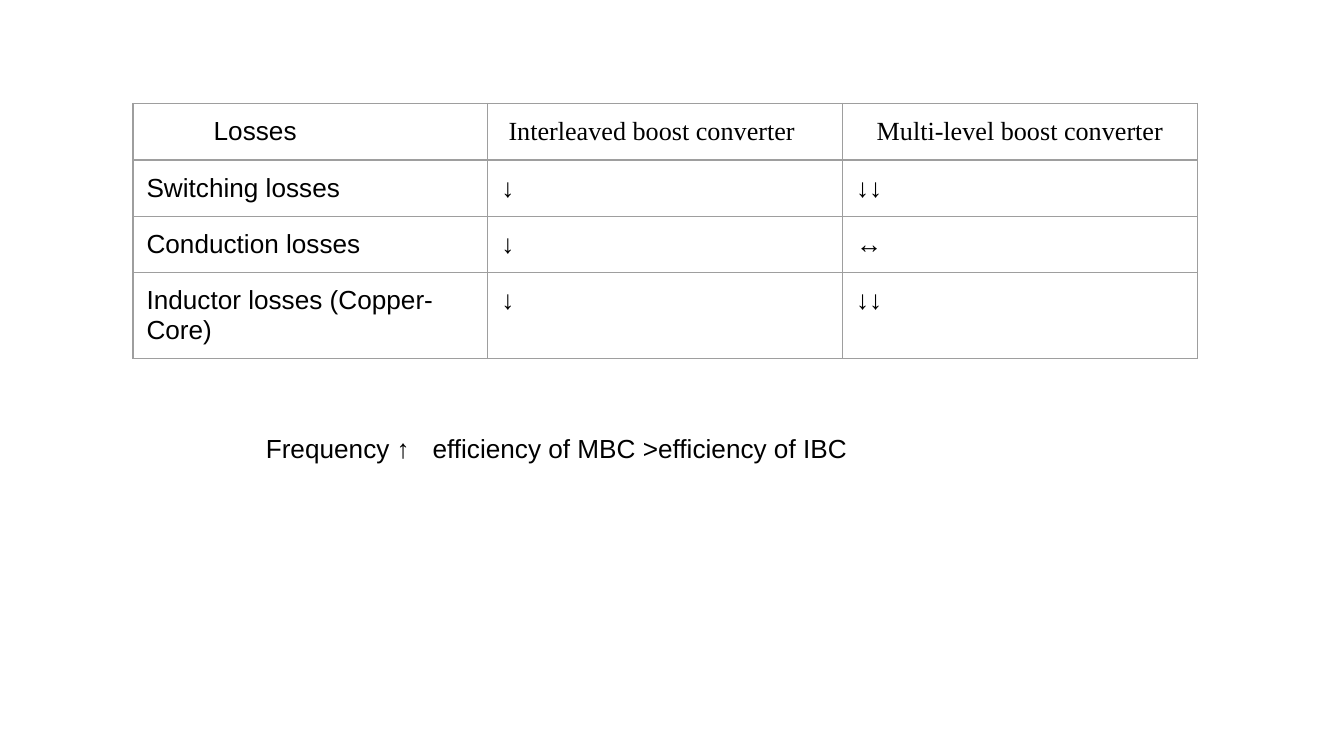
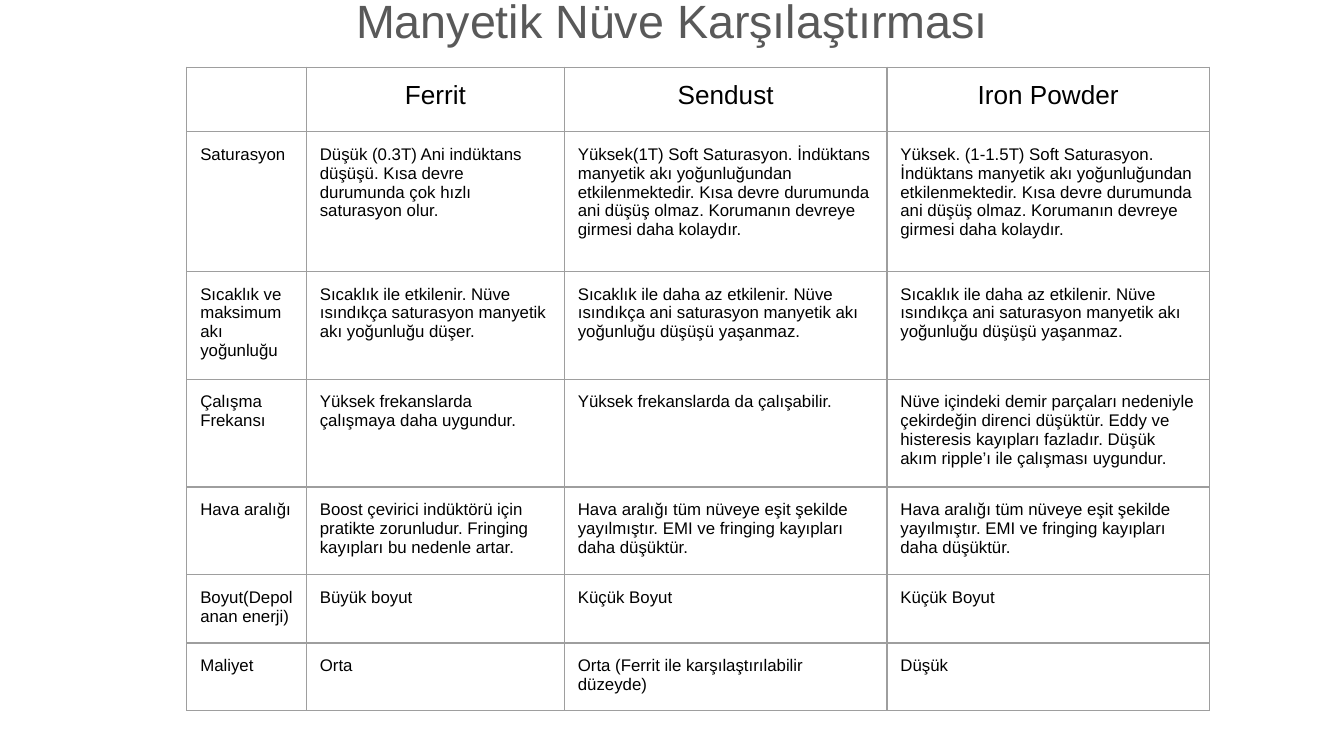
from dataclasses import dataclass

import lxml.etree
import pptx
import pptx.dml.color
import pptx.enum.text
import pptx.oxml.ns
import pptx.util

GRID_COLUMNS, GRID_ROWS = 100, 56.25
LEFT = pptx.enum.text.PP_ALIGN.LEFT
CENTER = pptx.enum.text.PP_ALIGN.CENTER


@dataclass(frozen=True)
class Theme:
    sans: str = "Arial"
    serif: str = "Times New Roman"
    ink: str = "000000"
    heading: str = "595959"
    paper: str = "FFFFFF"
    rule: str = "9E9E9E"
    rule_width: float = 0.75
    title_size: int = 25
    body_size: int = 14
    small_size: int = 9


THEME = Theme()

LOSSES = [
    ["Losses", "Interleaved boost converter", "Multi-level boost converter"],
    ["Switching losses", "↓", "↓↓"],
    ["Conduction losses", "↓", "↔"],
    ["Inductor losses (Copper-Core)", "↓", "↓↓"],
]

SOFT_SATURATION = (
    "Soft Saturasyon. İndüktans manyetik akı yoğunluğundan etkilenmektedir. "
    "Kısa devre durumunda ani düşüş olmaz. Korumanın devreye girmesi daha kolaydır."
)
STABLE_HEAT = (
    "Sıcaklık ile daha az etkilenir. Nüve ısındıkça ani saturasyon manyetik akı "
    "yoğunluğu düşüşü yaşanmaz."
)
SPREAD_GAP = (
    "Hava aralığı tüm nüveye eşit şekilde yayılmıştır. EMI ve fringing kayıpları "
    "daha düşüktür."
)
CORES = [
    ["", "Ferrit", "Sendust", "Iron Powder"],
    [
        "Saturasyon",
        "Düşük (0.3T) Ani indüktans düşüşü. Kısa devre durumunda çok hızlı "
        "saturasyon olur.",
        "Yüksek(1T) " + SOFT_SATURATION,
        "Yüksek. (1-1.5T) " + SOFT_SATURATION,
    ],
    [
        "Sıcaklık ve maksimum akı yoğunluğu",
        "Sıcaklık ile etkilenir. Nüve ısındıkça saturasyon manyetik akı "
        "yoğunluğu düşer.",
        STABLE_HEAT,
        STABLE_HEAT,
    ],
    [
        "Çalışma Frekansı",
        "Yüksek frekanslarda çalışmaya daha uygundur.",
        "Yüksek frekanslarda da çalışabilir.",
        "Nüve içindeki demir parçaları nedeniyle çekirdeğin direnci düşüktür. "
        "Eddy ve histeresis kayıpları fazladır. Düşük akım ripple’ı ile "
        "çalışması uygundur.",
    ],
    [
        "Hava aralığı",
        "Boost çevirici indüktörü için pratikte zorunludur. Fringing kayıpları "
        "bu nedenle artar.",
        SPREAD_GAP,
        SPREAD_GAP,
    ],
    ["Boyut(Depolanan enerji)", "Büyük boyut", "Küçük Boyut", "Küçük Boyut"],
    ["Maliyet", "Orta", "Orta (Ferrit ile karşılaştırılabilir düzeyde)", "Düşük"],
]


def grid(units):
    return pptx.util.Inches(units * 10 / GRID_COLUMNS)


def rgb(color):
    return pptx.dml.color.RGBColor.from_string(color)


def set_margins(holder):
    for side in ("left", "right", "top", "bottom"):
        setattr(holder, "margin_" + side, grid(1))


def style(paragraph, size, color=THEME.ink, font=THEME.sans, align=LEFT):
    paragraph.alignment = align
    paragraph.font.size = pptx.util.Pt(size)
    paragraph.font.name = font
    paragraph.font.color.rgb = rgb(color)


def indent(paragraph, units):
    paragraph._p.get_or_add_pPr().set("marL", str(grid(units)))


def add_tab(paragraph, units):
    properties = paragraph._p.get_or_add_pPr()
    stops = lxml.etree.SubElement(properties, pptx.oxml.ns.qn("a:tabLst"))
    lxml.etree.SubElement(
        stops, pptx.oxml.ns.qn("a:tab"), pos=str(grid(units)), algn="l"
    )


def add_text(slide, text, left, top, width, height):
    frame = slide.shapes.add_textbox(*map(grid, (left, top, width, height))).text_frame
    frame.word_wrap = True
    set_margins(frame)
    paragraph = frame.paragraphs[0]
    paragraph.text = text
    return paragraph


def rule_cell(cell):
    properties = cell._tc.get_or_add_tcPr()
    for side in "LRTB":
        line = lxml.etree.SubElement(
            properties,
            pptx.oxml.ns.qn("a:ln" + side),
            w=str(pptx.util.Pt(THEME.rule_width)),
        )
        fill = lxml.etree.SubElement(line, pptx.oxml.ns.qn("a:solidFill"))
        lxml.etree.SubElement(fill, pptx.oxml.ns.qn("a:srgbClr"), val=THEME.rule)
    cell.fill.solid()
    cell.fill.fore_color.rgb = rgb(THEME.paper)


def add_ruled_table(slide, content, left, top, widths, heights, body_size):
    table = slide.shapes.add_table(
        len(heights),
        len(widths),
        *map(grid, (left, top, sum(widths), sum(heights))),
    ).table
    table.first_row = table.horz_banding = False
    for column, width in zip(table.columns, widths):
        column.width = grid(width)
    for index, (row, height, texts) in enumerate(zip(table.rows, heights, content)):
        row.height = grid(height)
        for cell, text in zip(row.cells, texts):
            set_margins(cell)
            rule_cell(cell)
            paragraph = cell.text_frame.paragraphs[0]
            if text:
                paragraph.text = text
            if index == 0:
                style(paragraph, THEME.body_size, align=CENTER)
            else:
                style(paragraph, body_size)
    return table


def build_losses(slide):
    table = add_ruled_table(
        slide, LOSSES, 9.9, 7.7, [26.4] * 3, [4.2] * 3 + [6.3], THEME.body_size
    )
    losses, interleaved, multilevel = (
        cell.text_frame.paragraphs[0] for cell in table.rows[0].cells
    )
    for heading, offset in ((losses, 5), (interleaved, 0.54)):
        heading.alignment = LEFT
        indent(heading, offset)
    for converter in (interleaved, multilevel):
        converter.font.name = THEME.serif

    finding = add_text(
        slide,
        "Frequency ↑\tefficiency of MBC >efficiency of IBC",
        18.8, 31.2, 56, 4.4,
    )
    add_tab(finding, 12.4)
    style(finding, THEME.body_size)


def build_cores(slide):
    title = add_text(slide, "Manyetik Nüve Karşılaştırması", 3.4, -1.1, 93.2, 6.1)
    title.line_spacing = 0.9
    style(title, THEME.title_size, THEME.heading, align=CENTER)
    add_ruled_table(
        slide,
        CORES,
        13.9,
        5,
        [8.9, 19.2, 24, 24],
        [4.8, 10.4, 8, 8, 6.5, 5.1, 4.8],
        THEME.small_size,
    )


def main():
    deck = pptx.Presentation()
    deck.slide_width = grid(GRID_COLUMNS)
    deck.slide_height = grid(GRID_ROWS)
    for build in (build_losses, build_cores):
        slide = deck.slides.add_slide(deck.slide_layouts[6])
        slide.background.fill.solid()
        slide.background.fill.fore_color.rgb = rgb(THEME.paper)
        build(slide)
    deck.save("out.pptx")


if __name__ == "__main__":
    main()
